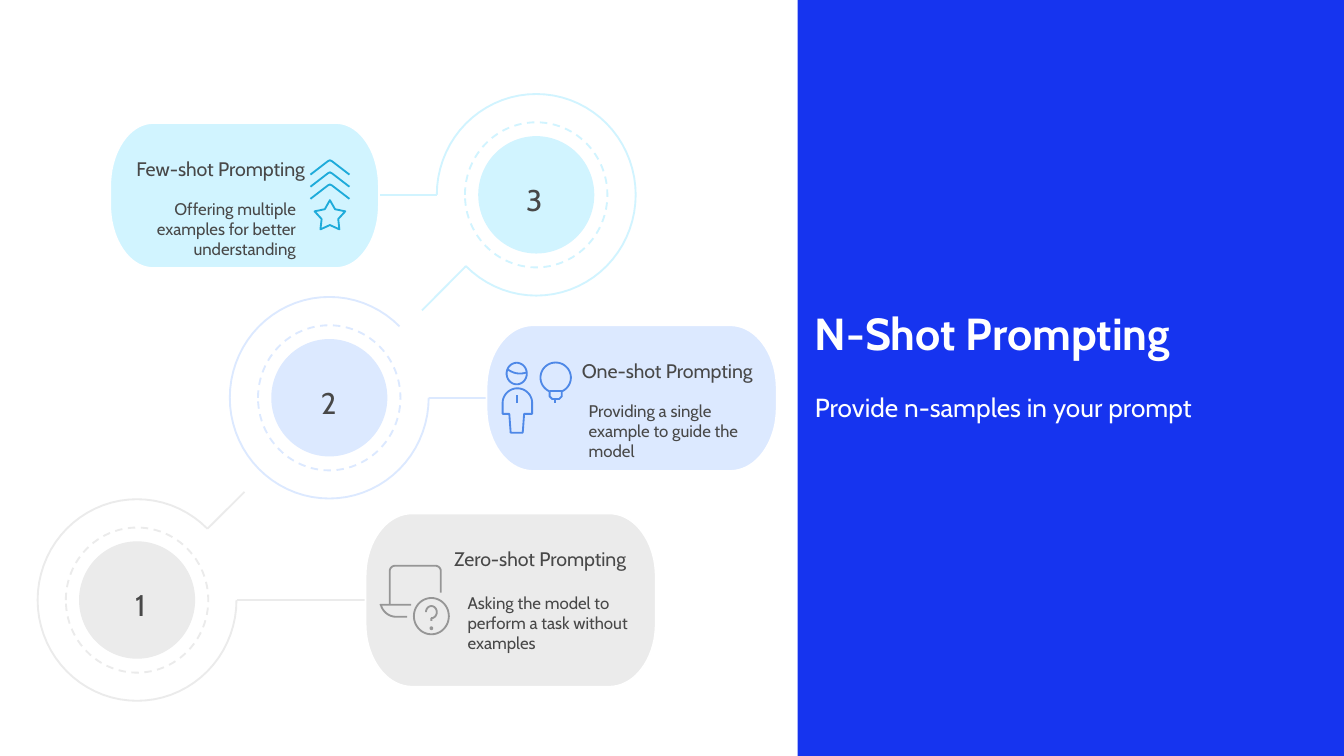
from dataclasses import dataclass
from math import cos, radians, sin

from lxml.etree import SubElement
from pptx import Presentation
from pptx.dml.color import RGBColor
from pptx.enum.dml import MSO_LINE
from pptx.enum.shapes import MSO_CONNECTOR, MSO_SHAPE
from pptx.enum.text import MSO_ANCHOR, MSO_AUTO_SIZE, PP_ALIGN
from pptx.oxml.ns import qn
from pptx.util import Inches, Pt


def color(hex_text):
    return RGBColor.from_string(hex_text)


def grid(steps):
    return Inches(steps / 10)


def arc(cx, cy, rx, ry, start=0, sweep=360):
    count = max(8, abs(sweep) // 5)
    angles = [radians(start + sweep * i / count) for i in range(count + 1)]
    return [(cx + rx * cos(a), cy + ry * sin(a)) for a in angles]


@dataclass
class Canvas:
    slide: object
    font: str = "Cabin"
    ink: str = "484848"
    weight: float = 1

    def paint(self, shape, fill=None, line=None, dashed=False):
        shape.shadow.inherit = False
        if fill:
            shape.fill.solid()
            shape.fill.fore_color.rgb = color(fill)
        else:
            shape.fill.background()
        if line:
            shape.line.color.rgb = color(line)
            shape.line.width = Pt(self.weight)
            if dashed:
                shape.line.dash_style = MSO_LINE.DASH
        else:
            shape.line.fill.background()

    def block(self, left, top, width, height, fill):
        area = self.slide.shapes.add_shape(
            MSO_SHAPE.RECTANGLE, *map(grid, (left, top, width, height)))
        self.paint(area, fill)

    def oval(self, cx, cy, rx, ry, **style):
        disc = self.slide.shapes.add_shape(
            MSO_SHAPE.OVAL, *map(grid, (cx - rx, cy - ry, 2 * rx, 2 * ry)))
        self.paint(disc, **style)

    def outline(self, contours, closed=False, **style):
        points = [[(grid(x), grid(y)) for x, y in contour] for contour in contours]
        builder = self.slide.shapes.build_freeform(*points[0][0], scale=1.0)
        for index, contour in enumerate(points):
            if index:
                builder.move_to(*contour[0])
            builder.add_line_segments(contour[1:], close=closed)
        self.paint(builder.convert_to_shape(), **style)

    def link(self, start, end, line):
        connector = self.slide.shapes.add_connector(
            MSO_CONNECTOR.STRAIGHT, *map(grid, (*start, *end)))
        connector.line.color.rgb = color(line)
        connector.line.width = Pt(self.weight)
        SubElement(connector._element.spPr, qn("a:effectLst"))

    def panel(self, left, top, width, height, fill):
        rx, ry = 0.16 * width, 4.7
        right, bottom = left + width, top + height
        corners = [(left + rx, top + ry, 180), (right - rx, top + ry, 270),
                   (right - rx, bottom - ry, 0), (left + rx, bottom - ry, 90)]
        edge = [p for x, y, start in corners for p in arc(x, y, rx, ry, start, 90)]
        self.outline([edge], closed=True, fill=fill, line="FFFFFF")

    def text(self, left, top, width, height, lines, size, ink=None, bold=False,
             align=PP_ALIGN.LEFT, anchor=MSO_ANCHOR.TOP, inset=0, wrap=True):
        box = self.slide.shapes.add_textbox(*map(grid, (left, top, width, height)))
        frame = box.text_frame
        frame.word_wrap = wrap
        frame.auto_size = MSO_AUTO_SIZE.NONE if inset else MSO_AUTO_SIZE.SHAPE_TO_FIT_TEXT
        frame.vertical_anchor = anchor
        frame.margin_left = frame.margin_right = grid(inset)
        frame.margin_top = frame.margin_bottom = grid(inset)
        paragraph = frame.paragraphs[0]
        paragraph.alignment = align
        for index, line in enumerate(lines):
            if index:
                paragraph.add_line_break()
            run = paragraph.add_run()
            run.text = line
            run.font.name = self.font
            run.font.size = Pt(size)
            run.font.bold = bold
            run.font.color.rgb = color(ink or self.ink)

    def step(self, number, number_x, cx, cy, tint, start, panel, tail):
        side = cos(radians(start))
        self.oval(cx, cy, 4.25, 4.3, fill=tint, line=tint)
        self.oval(cx, cy, 5.3, 5.4, line=tint, dashed=True)
        ring = arc(cx, cy, 7.4, 7.5, start, 315)
        self.outline([ring], line=tint)
        panel_edge = panel[0] if side > 0 else panel[0] + panel[2]
        self.link(ring[0], (panel_edge, cy), tint)
        if tail:
            self.link(ring[-1], tail, tint)
        self.panel(*panel, tint)
        self.text(number_x - 0.65, cy - 1, 1.3, 2.7, [number], 16,
                  align=PP_ALIGN.CENTER, wrap=False)


def main():
    deck = Presentation()
    deck.slide_width = Inches(10)
    deck.slide_height = deck.slide_width * 9 // 16
    canvas = Canvas(deck.slides.add_slide(deck.slide_layouts[6]))

    canvas.block(59.35, 0, 40.65, 56.25, "1634EF")
    canvas.text(59.65, 16.55, 36.6, 11.2, ["N-Shot Prompting"], 24, "FFFFFF",
                bold=True, anchor=MSO_ANCHOR.BOTTOM, inset=1)
    canvas.text(59.65, 28.1, 36.6, 11.2, ["Provide n-samples in your prompt"], 14,
                "FFFFFF", inset=1)

    steps = [
        ("3", 39.75, 39.9, 14.5, "D1F4FF", 180, (8.2, 9.15, 20, 10.8), (31.4, 23.1)),
        ("2", 24.45, 24.5, 29.6, "DCE9FF", 0, (36.2, 24.2, 21.6, 10.85), None),
        ("1", 10.45, 10.2, 44.65, "EBEBEB", 0, (27.2, 38.2, 21.6, 12.9), (18.2, 36.6)),
    ]
    for step in steps:
        canvas.step(*step)

    headings = [
        (8.7, 11.7, 14, "Few-shot Prompting", PP_ALIGN.RIGHT),
        (43.3, 26.7, 14.1, "One-shot Prompting", PP_ALIGN.LEFT),
        (33.8, 40.7, 14.3, "Zero-shot Prompting", PP_ALIGN.LEFT),
    ]
    for left, top, width, heading, align in headings:
        canvas.text(left, top, width, 1.8, [heading], 10.5, align=align, wrap=False)

    canvas.text(9.2, 14.75, 12.8, 4.5,
                ["Offering multiple examples for better understanding"], 9,
                align=PP_ALIGN.RIGHT)
    canvas.text(43.8, 29.8, 12.2, 4.5,
                ["Providing a single example to guide the model"], 9)
    canvas.text(34.8, 44.1, 13.3, 4.5,
                ["Asking the model to", "perform a task without", "examples"], 9,
                wrap=False)

    chevrons = [[(23.1, y), (24.4, y - 1), (24.55, y - 1.07), (24.7, y - 1), (26, y)]
                for y in (13, 13.9, 14.8)]
    star = [arc(24.55, 16.1, r, r, 36 * i - 90, 0)[0]
            for i, r in enumerate([1.2, 0.65] * 5)]
    canvas.outline(chevrons + [star + star[:1]], line="1EABDA")

    bulb = arc(41.35, 28.1, 1.13, 1.12, 114, 312) + [
        (41.8, 29.5), (41.6, 29.7), (41.1, 29.7), (40.9, 29.5), (40.9, 29.12)]
    body = [(38, 32.2), (37.9, 30.8), (37.4, 30.8), *arc(38.5, 30, 1.1, 1.1, 180, 180),
            (39.6, 30.8), (39, 30.8), (38.9, 32.2), (38, 32.2)]
    head = arc(38.45, 27.8, 0.75, 0.8)
    hair = arc(38.7, 26.3, 1.5, 1.5, 127, -57)
    canvas.outline([bulb, [(41.8, 29.1), (40.9, 29.1)], [(41.3, 29.7), (41.3, 30)],
                    body, [(38.5, 30), (38.5, 29.4)], head, hair], line="4E88E7")

    screen = [(29, 45), *arc(29.4, 42.5, 0.4, 0.4, 180, 90),
              *arc(32.4, 42.5, 0.4, 0.4, 270, 90), (32.8, 44.1)]
    base = [(30.3, 45.9), *arc(29.5, 44.7, 1.2, 1.2, 90, 75), (28.3, 45), (30.6, 45)]
    question = arc(32.1, 45.55, 0.4, 0.45, 180, 270) + [(32.1, 46.2)]
    canvas.outline([screen, base, arc(32.1, 45.85, 1.3, 1.35), question,
                    arc(32.1, 46.75, 0.07, 0.07)], line="969696")

    deck.save("out.pptx")


if __name__ == "__main__":
    main()
